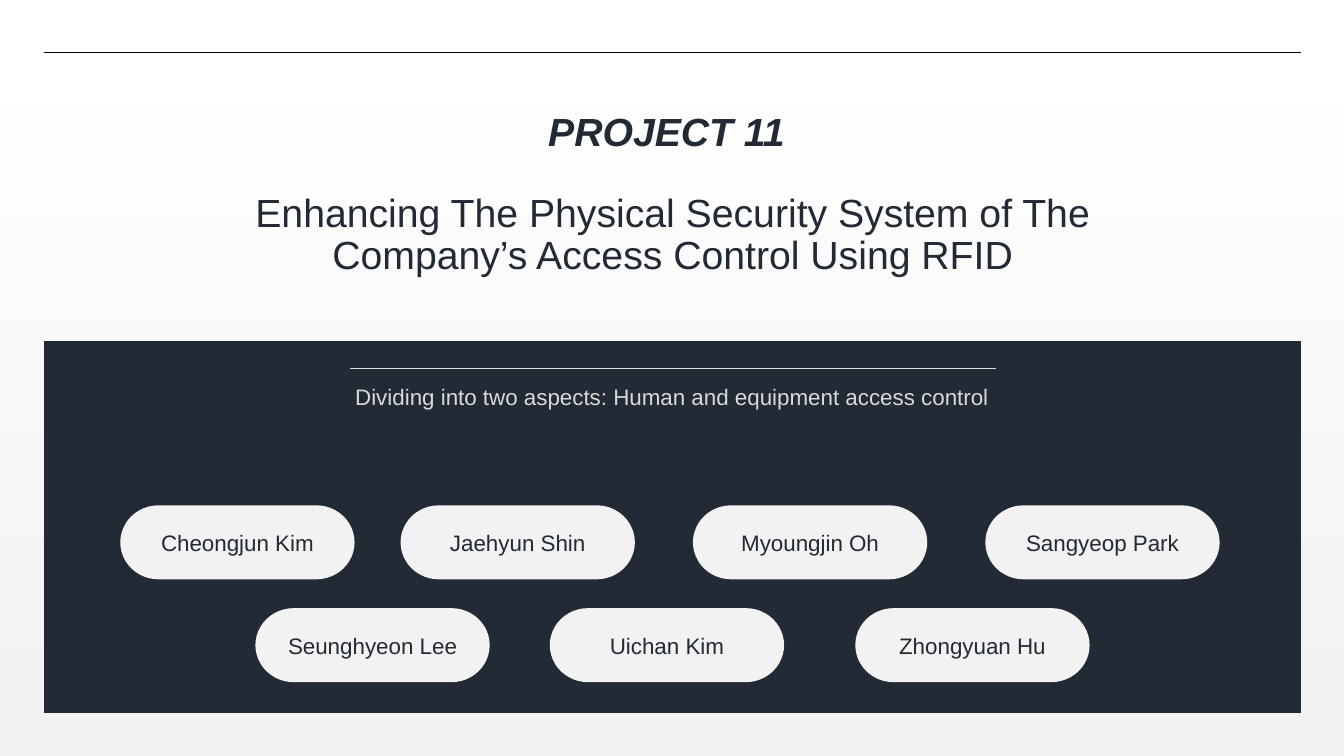
from dataclasses import dataclass

from lxml.etree import SubElement
from pptx import Presentation
from pptx.dml.color import RGBColor
from pptx.enum.shapes import MSO_CONNECTOR, MSO_SHAPE
from pptx.enum.text import MSO_ANCHOR, MSO_AUTO_SIZE, PP_ALIGN
from pptx.oxml.ns import qn
from pptx.shapes.autoshape import Shape
from pptx.slide import Slide
from pptx.util import Inches, Pt

COLORS = {
    "navy": "222A35",
    "pale": "F2F2F2",
    "grey": "D9D9D9",
    "black": "000000",
    "white": "FFFFFF",
}
FONT = "Arial"
PILL_WIDTH, PILL_HEIGHT = 2.31, 0.72
UPPER_ROW, LOWER_ROW = 5.02, 6.04


@dataclass
class Member:
    name: str
    left: float
    top: float


@dataclass
class Rule:
    left: float
    right: float
    top: float
    color: str
    weight: float


MEMBERS = [
    Member("Cheongjun Kim", 1.2, UPPER_ROW),
    Member("Jaehyun Shin", 3.98, UPPER_ROW),
    Member("Myoungjin Oh", 6.88, UPPER_ROW),
    Member("Sangyeop Park", 9.78, UPPER_ROW),
    Member("Seunghyeon Lee", 2.54, LOWER_ROW),
    Member("Uichan Kim", 5.46, LOWER_ROW),
    Member("Zhongyuan Hu", 8.49, LOWER_ROW),
]
RULES = [
    Rule(0.44, 12.9, 0.52, "black", 0.75),
    Rule(3.47, 9.88, 3.65, "grey", 0.5),
]


def rgb(color: str) -> RGBColor:
    return RGBColor.from_string(COLORS[color])


def paint_background(page: Slide) -> None:
    fill = page.background.fill
    fill.gradient()
    fill.gradient_angle = 270
    for stop, position, color in zip(fill.gradient_stops, (0, 1), ("white", "pale")):
        stop.position = position
        stop.color.rgb = rgb(color)


def write(box: Shape, text: str, size: int, color: str, anchor: MSO_ANCHOR,
          spacing: float = 1.0, strong: bool = False) -> None:
    """Put one centred line of text in a box; strong means bold italic."""
    frame = box.text_frame
    frame.word_wrap = True
    frame.auto_size = MSO_AUTO_SIZE.NONE
    frame.vertical_anchor = anchor
    para = frame.paragraphs[0]
    para.alignment = PP_ALIGN.CENTER
    para.line_spacing = spacing
    para.space_before = Pt(0)
    span = para.add_run()
    span.text = text
    span.font.name = FONT
    span.font.size = Pt(size)
    span.font.bold = strong
    span.font.italic = strong
    span.font.color.rgb = rgb(color)


def add_block(page: Slide, kind: MSO_SHAPE, left: float, top: float,
              width: float, height: float, color: str) -> Shape:
    block = page.shapes.add_shape(
        kind, Inches(left), Inches(top), Inches(width), Inches(height))
    block.shadow.inherit = False
    block.fill.solid()
    block.fill.fore_color.rgb = rgb(color)
    block.line.color.rgb = rgb(color)
    block.line.width = Pt(1)
    return block


def add_rule(page: Slide, rule: Rule) -> None:
    line = page.shapes.add_connector(
        MSO_CONNECTOR.STRAIGHT, Inches(rule.left), Inches(rule.top),
        Inches(rule.right), Inches(rule.top))
    line.line.color.rgb = rgb(rule.color)
    line.line.width = Pt(rule.weight)
    SubElement(line._element.spPr, qn("a:effectLst"))


def add_member(page: Slide, member: Member) -> None:
    pill = add_block(page, MSO_SHAPE.FLOWCHART_TERMINATOR, member.left, member.top,
                     PILL_WIDTH, PILL_HEIGHT, "pale")
    write(pill, member.name, 16, "navy", MSO_ANCHOR.MIDDLE)


def main() -> None:
    deck = Presentation()
    deck.slide_width, deck.slide_height = Inches(13.33), Inches(7.5)
    page = deck.slides.add_slide(deck.slide_layouts.get_by_name("Title Only"))
    paint_background(page)

    title = page.shapes.title
    title.left, title.top = Inches(1.62), Inches(1.87)
    title.width, title.height = Inches(10.1), Inches(0.67)
    write(title, "Enhancing The Physical Security System of The Company’s "
          "Access Control Using RFID", 28, "navy", MSO_ANCHOR.TOP, spacing=0.9)

    project = page.shapes.add_textbox(
        Inches(1.56), Inches(1.07), Inches(10.1), Inches(0.67))
    write(project, "PROJECT 11", 28, "navy", MSO_ANCHOR.TOP, spacing=0.9, strong=True)

    add_block(page, MSO_SHAPE.RECTANGLE, 0.44, 3.39, 12.46, 3.68, "navy")
    subtitle = page.shapes.add_textbox(
        Inches(2.73), Inches(3.75), Inches(7.87), Inches(0.37))
    write(subtitle, "Dividing into two aspects: Human and equipment access control",
          16, "grey", MSO_ANCHOR.TOP)

    for rule in RULES:
        add_rule(page, rule)
    for member in MEMBERS:
        add_member(page, member)

    deck.save("out.pptx")


if __name__ == "__main__":
    main()
